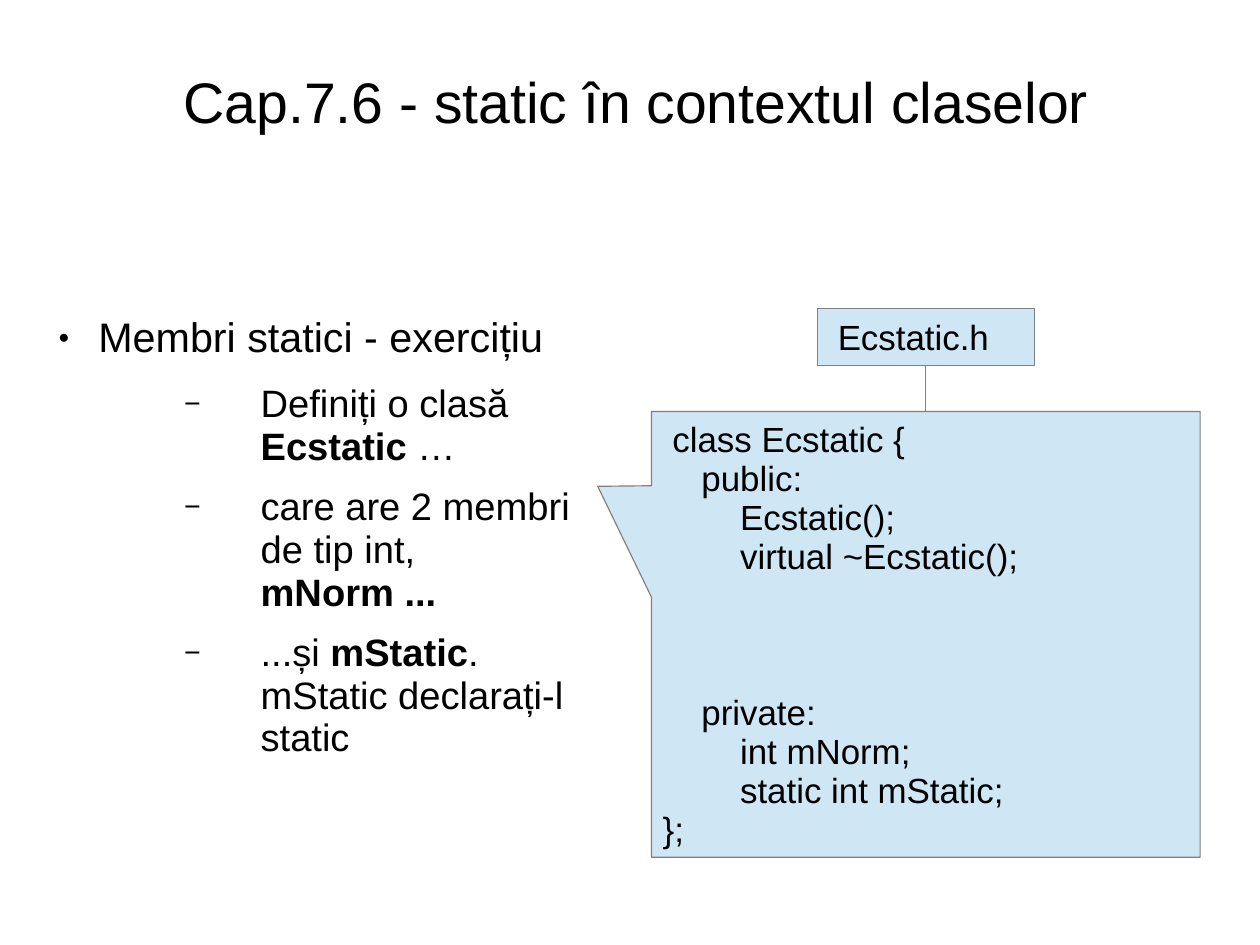
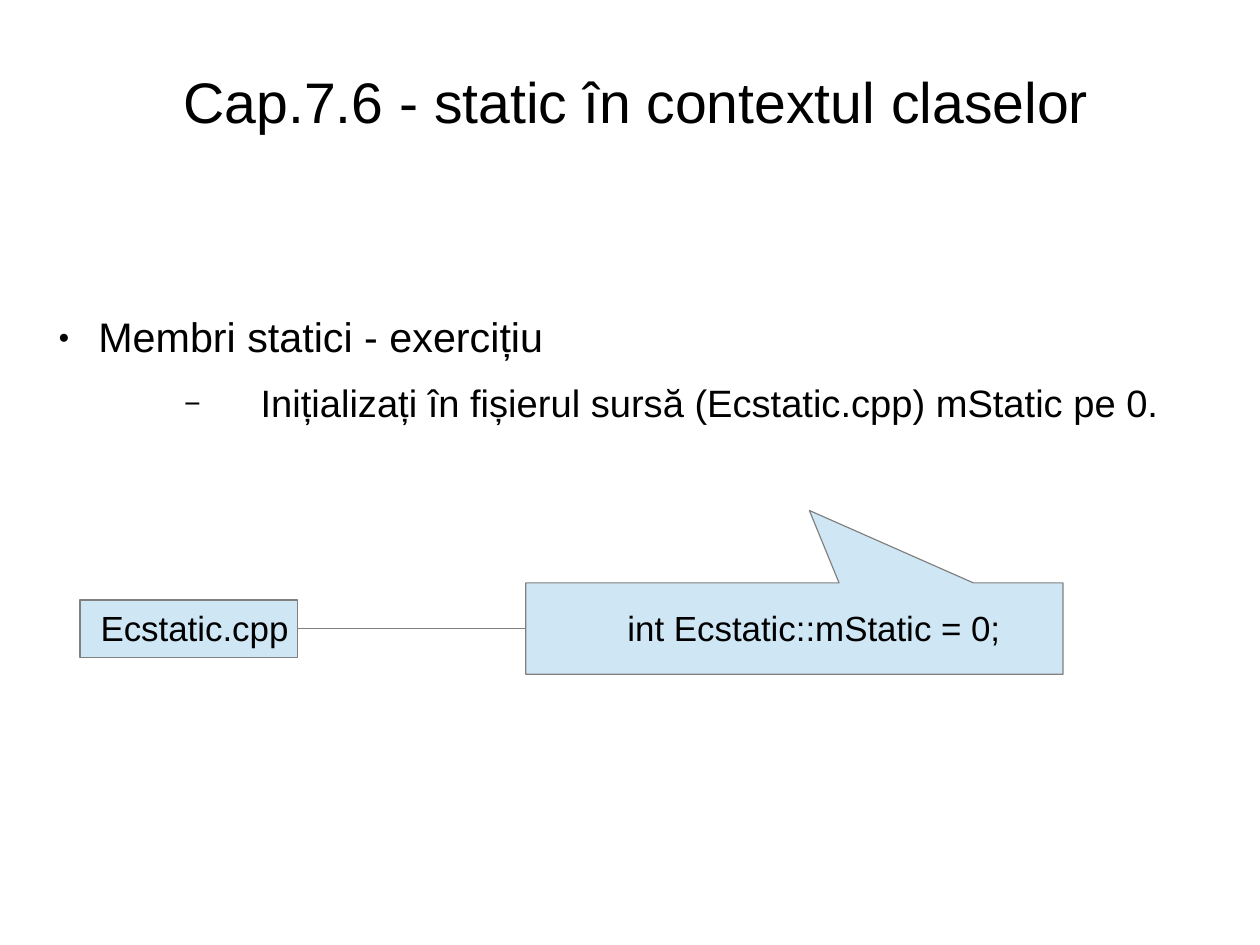
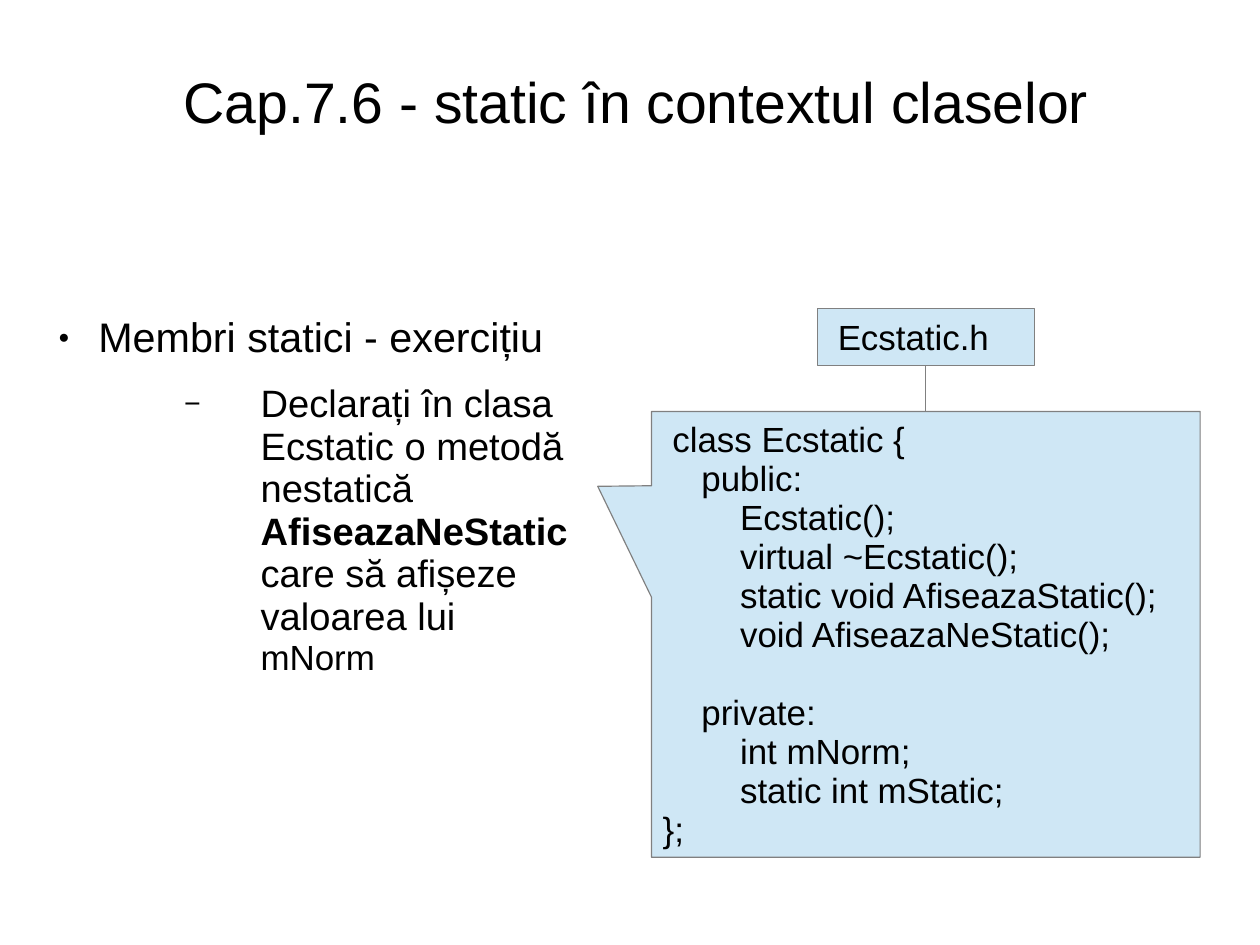
from dataclasses import dataclass

from lxml.etree import SubElement
from pptx import Presentation
from pptx.dml.color import RGBColor
from pptx.enum.shapes import MSO_CONNECTOR as Connector, MSO_SHAPE as Shape
from pptx.enum.text import MSO_ANCHOR as Anchor, MSO_AUTO_SIZE as AutoSize, PP_ALIGN as Align
from pptx.oxml.ns import qn
from pptx.util import Inches, Pt

CM_PER_INCH = 2.54
PAGE_WIDTH_CM = 28
PAGE_HEIGHT_CM = 21
FONT = "Arial"
BLACK = "000000"
PALE_BLUE = "CFE7F5"
GREY = "808080"
LINE_SPACING = 0.93
CODE_SIZE = 22
CODE_LINE = 24.6
TITLE = "Cap.7.6 - static în contextul claselor"
HEADING = "Membri statici - exercițiu"
TOP, LEFT, BOTTOM, RIGHT = range(4)


@dataclass(frozen=True)
class Area:
    left: float
    top: float
    width: float
    height: float

    def lengths(self) -> list:
        return [Inches(n) for n in (self.left, self.top, self.width, self.height)]


@dataclass(frozen=True)
class Span:
    text: str
    bold: bool = False
    size: float = 24


@dataclass(frozen=True)
class Bullet:
    char: str
    percent: int
    level: int
    margin: float
    hanging: float
    space_after: float


@dataclass(frozen=True)
class Callout:
    area: Area
    tip: tuple[float, float]
    lines: tuple[str, ...]
    inset: float = 0.1


@dataclass(frozen=True)
class Exercise:
    body: Area
    steps: list[list[Span]]
    code: Callout
    label: Callout
    label_side: int
    code_side: int


MAIN_BULLET = Bullet("●", 45, 0, 0.47, 0.35, 14.1)
STEP_BULLET = Bullet("−", 75, 1, 1.89, 0.67, 11.4)


def color(value: str) -> RGBColor:
    return RGBColor.from_string(value)


def format_span(span, size: float, bold: bool = False) -> None:
    span.font.name = FONT
    span.font.size = Pt(size)
    span.font.bold = bold
    span.font.color.rgb = color(BLACK)


def set_frame(frame, left: float, top: float, right: float, bottom: float, anchor, wrap: bool) -> None:
    frame.margin_left, frame.margin_top = Inches(left), Inches(top)
    frame.margin_right, frame.margin_bottom = Inches(right), Inches(bottom)
    frame.vertical_anchor = anchor
    frame.auto_size = AutoSize.NONE
    frame.word_wrap = wrap


def add_title(page) -> None:
    title = page.shapes.title
    title.left, title.top, title.width, title.height = Area(0.36, 0.28, 10.41, 1.24).lengths()
    frame = title.text_frame
    set_frame(frame, 0, 0.03, 0, 0, Anchor.MIDDLE, True)
    frame.text = TITLE
    para = frame.paragraphs[0]
    para.alignment = Align.CENTER
    para.line_spacing = LINE_SPACING
    format_span(para.runs[0], 36)


def add_bullet(para, bullet: Bullet) -> None:
    para.level = bullet.level
    props = para._p.get_or_add_pPr()
    props.set("marL", str(Inches(bullet.margin)))
    props.set("indent", str(-Inches(bullet.hanging)))
    SubElement(SubElement(props, qn("a:buClr")), qn("a:srgbClr"), val=BLACK)
    SubElement(props, qn("a:buSzPct"), val=str(bullet.percent * 1000))
    SubElement(props, qn("a:buFont"), typeface=FONT)
    SubElement(props, qn("a:buChar"), char=bullet.char)
    para.line_spacing = LINE_SPACING
    para.space_after = Pt(bullet.space_after)


def add_body(page, area: Area, steps: list[list[Span]]) -> None:
    frame = page.shapes.add_textbox(*area.lengths()).text_frame
    set_frame(frame, 0, 0.03, 0, 0, Anchor.TOP, True)
    for index, spans in enumerate([[Span(HEADING, size=26)], *steps]):
        para = frame.add_paragraph() if index else frame.paragraphs[0]
        add_bullet(para, STEP_BULLET if index else MAIN_BULLET)
        for item in spans:
            span = para.add_run()
            span.text = item.text
            format_span(span, item.size, item.bold)


def add_callout(page, callout: Callout):
    box = page.shapes.add_shape(Shape.RECTANGULAR_CALLOUT, *callout.area.lengths())
    box.adjustments[0], box.adjustments[1] = callout.tip
    box.shadow.inherit = False
    box.fill.solid()
    box.fill.fore_color.rgb = color(PALE_BLUE)
    box.line.color.rgb = color(GREY)
    box.line.width = Pt(0.75)
    frame = box.text_frame
    set_frame(frame, callout.inset, 0.07, 0.05, 0.05, Anchor.MIDDLE, False)
    frame.text = "\n".join(line for line in callout.lines if line)
    gap = 0
    paras = iter(frame.paragraphs)
    for line in callout.lines:
        if not line:
            gap += 1
            continue
        para = next(paras)
        para.alignment = Align.LEFT
        para.line_spacing = LINE_SPACING
        if gap:
            para.space_before = Pt(gap * CODE_LINE)
        gap = 0
        format_span(para.runs[0], CODE_SIZE)
    return box


def add_link(page, start, start_side: int, end, end_side: int) -> None:
    link = page.shapes.add_connector(Connector.STRAIGHT, 0, 0, 0, 0)
    link.begin_connect(start, start_side)
    link.end_connect(end, end_side)
    link.line.color.rgb = color(GREY)
    link.line.width = Pt(0.75)
    SubElement(link._element.spPr, qn("a:effectLst"))


def file_label(left: float, top: float, name: str) -> Callout:
    return Callout(Area(left, top, 1.9, 0.5), (-0.5, 0.207), (name,), 0.18)


def header_exercise(steps: list[list[Span]], methods: tuple[str, str]) -> Exercise:
    lines = (
        " class Ecstatic {",
        "    public:",
        "        Ecstatic();",
        "        virtual ~Ecstatic();",
        *methods,
        "",
        "    private:",
        "        int mNorm;",
        "        static int mStatic;",
        "};",
    )
    code = Callout(Area(5.7, 3.6, 4.8, 3.9), (-0.598, -0.332), lines)
    label = file_label(7.15, 2.7, "Ecstatic.h")
    return Exercise(Area(0.39, 2.73, 4.61, 4.07), steps, code, label, BOTTOM, TOP)


EXERCISES = [
    header_exercise(
        [
            [Span("Definiți o clasă "), Span("Ecstatic", True), Span(" …")],
            [Span("care are 2 membri de tip int, "), Span("mNorm ...", True)],
            [Span("...și "), Span("mStatic", True), Span(". mStatic declarați-l static")],
        ],
        ("", ""),
    ),
    Exercise(
        Area(0.39, 2.73, 10.31, 1.37),
        [[Span("Inițializați în fișierul sursă (Ecstatic.cpp) mStatic pe 0.")]],
        Callout(Area(4.6, 5.1, 4.7, 0.8), (0.028, -1.292), ("int Ecstatic::mStatic = 0;",), 0.89),
        file_label(0.7, 5.25, "Ecstatic.cpp"),
        RIGHT,
        LEFT,
    ),
    header_exercise(
        [
            [
                Span("Declarați în clasa Ecstatic o metodă nestatică "),
                Span("AfiseazaNeStatic", True),
                Span(" care să afișeze valoarea lui "),
                Span("mNorm", size=22),
            ]
        ],
        ("        static void AfiseazaStatic();", "        void AfiseazaNeStatic();"),
    ),
]


def main() -> None:
    deck = Presentation()
    deck.slide_width = Inches(PAGE_WIDTH_CM / CM_PER_INCH)
    deck.slide_height = Inches(PAGE_HEIGHT_CM / CM_PER_INCH)
    for exercise in EXERCISES:
        page = deck.slides.add_slide(deck.slide_layouts[5])
        add_title(page)
        add_body(page, exercise.body, exercise.steps)
        code = add_callout(page, exercise.code)
        label = add_callout(page, exercise.label)
        add_link(page, label, exercise.label_side, code, exercise.code_side)
    deck.save("out.pptx")


if __name__ == "__main__":
    main()
